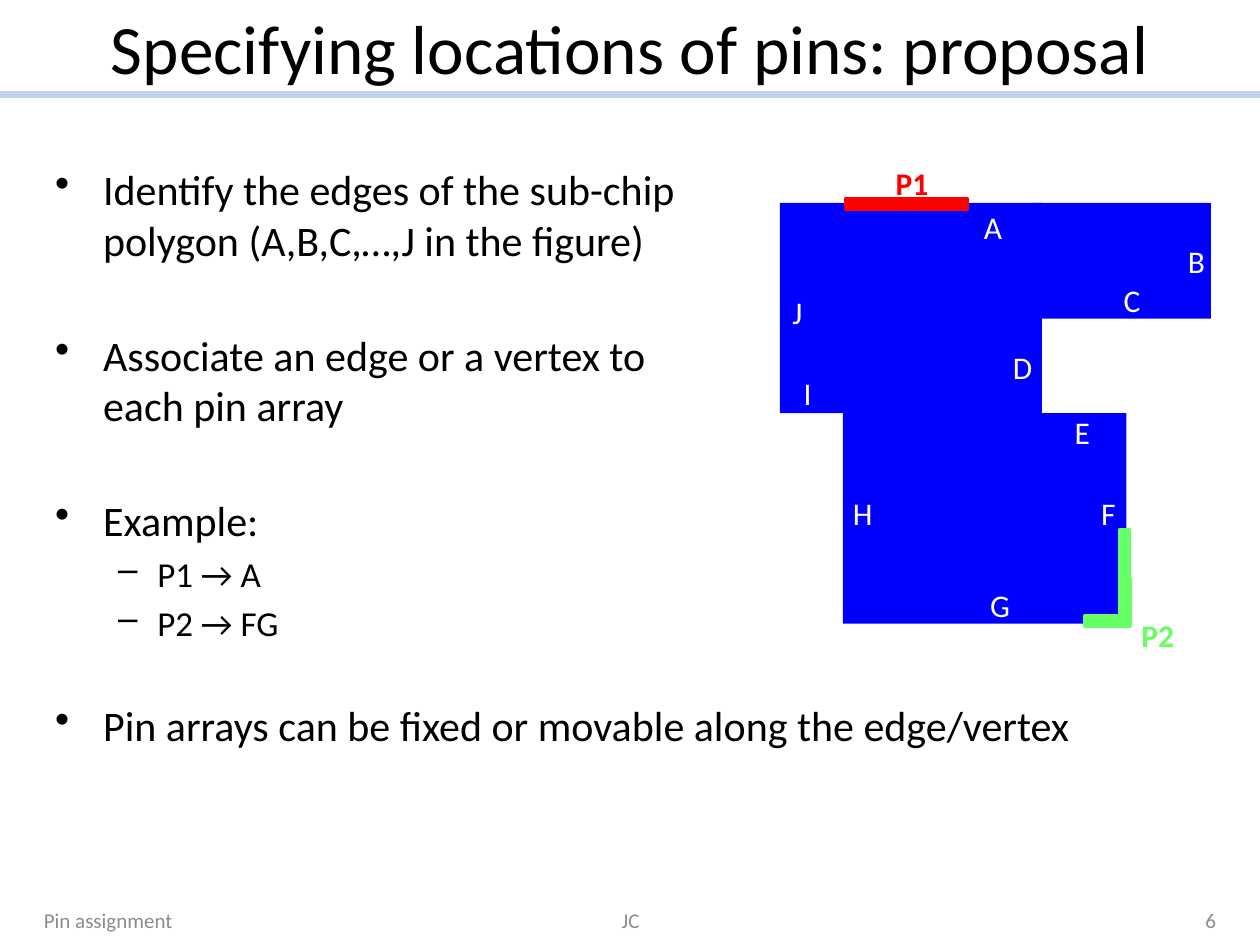
import pptx
import pptx.util
import pptx.dml.color
import pptx.enum.shapes
import pptx.enum.text
import pptx.oxml.ns
import lxml.etree
import dataclasses

Inches = pptx.util.Inches
Pt = pptx.util.Pt
Align = pptx.enum.text.PP_ALIGN
Anchor = pptx.enum.text.MSO_ANCHOR
Fit = pptx.enum.text.MSO_AUTO_SIZE


@dataclasses.dataclass(frozen=True)
class Theme:
    font: str = "Calibri"
    ink: str = "000000"
    rule: str = "C2D1ED"
    gray: str = "8C8C8C"
    chip: str = "0000FF"
    edge: str = "FFFFFF"
    red: str = "FF0000"
    green: str = "66FF66"
    title: float = 39.6
    body: float = 24
    sub: float = 20
    label: float = 18
    foot: float = 12


def color(code):
    return pptx.dml.color.RGBColor.from_string(code)


class Deck:
    def __init__(self, theme):
        self.theme = theme
        self.show = pptx.Presentation()
        self.show.slide_width = Inches(10)
        self.show.slide_height = Inches(7.5)
        self.slide = self.show.slides.add_slide(self.show.slide_layouts[5])

    def style(self, para, size, ink, align=Align.LEFT, bold=False):
        para.alignment = align
        font = para.font
        font.name, font.size, font.bold = self.theme.font, Pt(size), bold
        font.color.rgb = color(ink)

    def title(self, text):
        head = self.slide.shapes.title
        head.left, head.top = Inches(0.5), Inches(0)
        head.width, head.height = Inches(9), Inches(0.75)
        head.text_frame.text = text
        head.text_frame.auto_size = Fit.NONE
        head.text_frame.vertical_anchor = Anchor.MIDDLE
        self.style(head.text_frame.paragraphs[0], self.theme.title, self.theme.ink, Align.CENTER)

    def rule(self, top):
        line = self.slide.shapes.add_connector(
            pptx.enum.shapes.MSO_CONNECTOR.STRAIGHT,
            Inches(0), Inches(top), Inches(10), Inches(top))
        line.line.color.rgb = color(self.theme.rule)
        line.line.width = Pt(4)
        lxml.etree.SubElement(line._element.spPr, pptx.oxml.ns.qn("a:effectLst"))

    def frame(self, left, top, width, height, wrap=True):
        box = self.slide.shapes.add_textbox(
            Inches(left), Inches(top), Inches(width), Inches(height))
        box.text_frame.word_wrap = wrap
        return box.text_frame

    def bullets(self, items, left, top, width, height):
        """Fill a box with (level, space before, text) items."""
        looks = [("•", 0.38, 0.38, self.theme.body), ("–", 0.81, 0.31, self.theme.sub)]
        frame = self.frame(left, top, width, height)
        for num, (level, space, text) in enumerate(items):
            para = frame.add_paragraph() if num else frame.paragraphs[0]
            mark, indent, hang, size = looks[level]
            para.text, para.level, para.space_before = text, level, Pt(space)
            self.style(para, size, self.theme.ink)
            props = para._p.get_or_add_pPr()
            props.set("marL", str(Inches(indent)))
            props.set("indent", str(-Inches(hang)))
            bullet = pptx.oxml.parse_xml(
                f'<a:buChar {pptx.oxml.ns.nsdecls("a")} char="{mark}"/>')
            props.find(pptx.oxml.ns.qn("a:defRPr")).addprevious(bullet)

    def footer(self, text, left, width, align):
        frame = self.frame(left, 7.1, width, 0.4)
        frame.vertical_anchor = Anchor.MIDDLE
        frame.text = text
        self.style(frame.paragraphs[0], self.theme.foot, self.theme.gray, align)

    def label(self, text, left, top, width, ink, bold=False):
        frame = self.frame(left, top, width, 0.4, wrap=False)
        frame.auto_size = Fit.SHAPE_TO_FIT_TEXT
        frame.text = text
        self.style(frame.paragraphs[0], self.theme.label, ink, bold=bold)

    def block(self, left, top, width, height, fill):
        shape = self.slide.shapes.add_shape(
            pptx.enum.shapes.MSO_SHAPE.RECTANGLE,
            Inches(left), Inches(top), Inches(width), Inches(height))
        shape.shadow.inherit = False
        shape.fill.solid()
        shape.fill.fore_color.rgb = color(fill)
        shape.line.fill.background()
        return shape

    def pin(self, left, top, width, ink, turn=0):
        bar = self.block(left, top, width, 0.08, ink)
        bar.line.color.rgb = color(ink)
        bar.line.width = Pt(2)
        bar.rotation = turn


def main():
    theme = Theme()
    deck = Deck(theme)
    deck.rule(0.75)
    deck.title("Specifying locations of pins: proposal")
    deck.bullets([
        (0, 0, "Identify the edges of the sub-chip \vpolygon (A,B,C,…,J in the figure)"),
        (0, 37, "Associate an edge or a vertex to \veach pin array"),
        (0, 37, "Example:"),
        (1, 4, "P1 → A"),
        (1, 4, "P2 → FG"),
        (0, 32, "Pin arrays can be fixed or movable along the edge/vertex"),
    ], 0.34, 1.25, 8.66, 5.58)

    for text, left, width, align in [
        ("Pin assignment", 0.25, 2.33, Align.LEFT),
        ("JC", 3.42, 3.17, Align.CENTER),
        ("6", 7.42, 2.33, Align.RIGHT),
    ]:
        deck.footer(text, left, width, align)

    for place in [(6.19, 1.61, 2.08, 1.67), (6.69, 3.28, 2.25, 1.67), (8.19, 1.61, 1.42, 0.92)]:
        deck.block(*place, theme.chip)

    for text, left, top, width in [
        ("A", 7.71, 1.6, 0.35), ("B", 9.33, 1.87, 0.34),
        ("C", 8.82, 2.18, 0.34), ("D", 7.94, 2.71, 0.36),
        ("E", 8.43, 3.23, 0.32), ("F", 8.64, 3.87, 0.32),
        ("G", 7.76, 4.6, 0.36), ("H", 6.67, 3.87, 0.36),
        ("I", 6.28, 2.92, 0.27), ("J", 6.19, 2.28, 0.28),
    ]:
        deck.label(text, left, top, width, theme.edge)

    deck.pin(6.71, 1.58, 0.97, theme.red)
    deck.pin(8.57, 4.52, 0.71, theme.green, turn=90)
    deck.pin(8.61, 4.89, 0.35, theme.green)
    deck.pin(8.74, 4.74, 0.38, theme.green, turn=90)
    deck.label("P1", 7.01, 1.25, 0.46, theme.red, bold=True)
    deck.label("P2", 8.96, 4.84, 0.46, theme.green, bold=True)
    deck.show.save("out.pptx")


if __name__ == "__main__":
    main()
